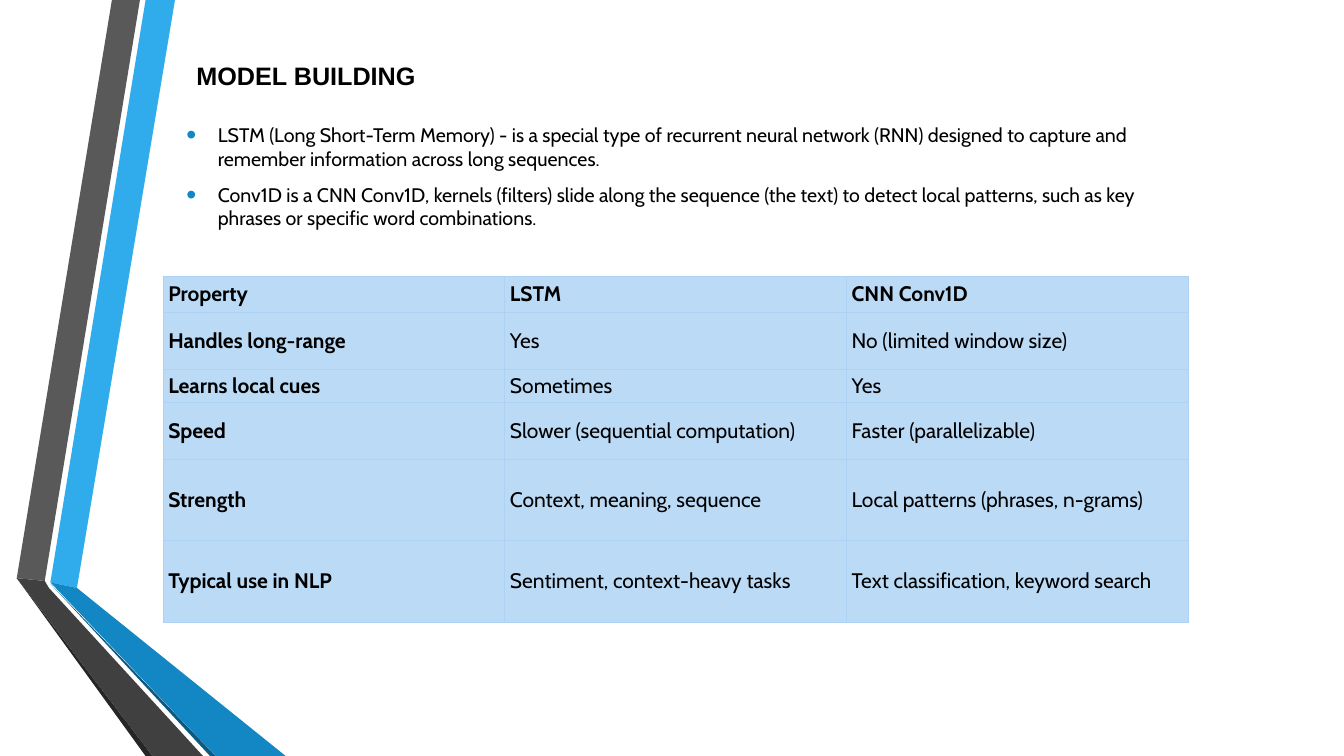
import pptx
import pptx.dml.color
import pptx.enum.text
import pptx.oxml
import pptx.oxml.ns
import pptx.util

Pt = pptx.util.Pt
RGBColor = pptx.dml.color.RGBColor
Anchor = pptx.enum.text.MSO_ANCHOR

BLACK = RGBColor(0x00, 0x00, 0x00)
SKY = RGBColor(0x30, 0xAC, 0xEC)
BLUE = RGBColor(0x12, 0x87, 0xC3)
NAVY = RGBColor(0x0C, 0x5A, 0x82)
GRAY = RGBColor(0x59, 0x59, 0x59)
CHARCOAL = RGBColor(0x40, 0x40, 0x40)
SOOT = RGBColor(0x26, 0x26, 0x26)
CELL_FILL = RGBColor(0xBB, 0xDA, 0xF5)
CELL_BORDER = RGBColor(0xAE, 0xD2, 0xF4)

RIBBONS = [
    (SKY, [(36, 416.2), (55.4, 419.8), (124.6, 0), (104.4, 0)]),
    (GRAY, [(100.1, 0), (79.9, 0), (11.5, 412.6), (31.7, 415.4)]),
    (SOOT, [(11.5, 412.6), (104.4, 540), (108.7, 540)]),
    (NAVY, [(36, 416.9), (149.8, 540), (154.1, 540)]),
    (BLUE, [(36, 416.2), (154.1, 540), (203.8, 540), (55.4, 419.8)]),
    (CHARCOAL, [(145.4, 540), (34.6, 419.8), (31.7, 415.4), (11.5, 412.6), (108.7, 540)]),
]

DEFINITIONS = [
    "LSTM (Long Short-Term Memory) - is a special type of recurrent neural network (RNN) "
    "designed to capture and remember information across long sequences.",
    "Conv1D is a CNN Conv1D, kernels (filters) slide along the sequence (the text) to detect "
    "local patterns, such as key phrases or specific word combinations.",
]

COMPARISON = [
    ("Property", "LSTM", "CNN Conv1D"),
    ("Handles long-range", "Yes", "No (limited window size)"),
    ("Learns local cues", "Sometimes", "Yes"),
    ("Speed", "Slower (sequential computation)", "Faster (parallelizable)"),
    ("Strength", "Context, meaning, sequence", "Local patterns (phrases, n-grams)"),
    ("Typical use in NLP", "Sentiment, context-heavy tasks", "Text classification, keyword search"),
]
ROW_HEIGHTS = [26, 40.3, 24, 40.3, 58.3, 58.3]
COLUMN_WIDTH = 244.1


def append_xml(parent, tag, body="", attributes=""):
    namespace = pptx.oxml.ns.nsdecls("a")
    parent.append(pptx.oxml.parse_xml(f"<a:{tag} {namespace} {attributes}>{body}</a:{tag}>"))


class ModelSlide:
    heading_font = "Arial"
    body_font = "Cabin"

    def __init__(self, presentation):
        self.slide = presentation.slides.add_slide(presentation.slide_layouts[6])

    def style(self, paragraph, size, font, bold=False):
        for run in paragraph.runs:
            run.font.size = Pt(size)
            run.font.name = font
            run.font.bold = bold
            run.font.color.rgb = BLACK

    def ribbon(self, color, corners):
        builder = self.slide.shapes.build_freeform(*corners[0], scale=Pt(1))
        builder.add_line_segments(corners[1:], close=True)
        band = builder.convert_to_shape()
        band.shadow.inherit = False
        band.fill.solid()
        band.fill.fore_color.rgb = color
        band.line.fill.background()

    def text_frame(self, left, top, width, height, anchor):
        box = self.slide.shapes.add_textbox(Pt(left), Pt(top), Pt(width), Pt(height))
        box.text_frame.word_wrap = True
        box.text_frame.vertical_anchor = anchor
        return box.text_frame

    def heading(self, text):
        frame = self.text_frame(133.2, 0.7, 814.3, 67.7, Anchor.BOTTOM)
        frame.text = text
        self.style(frame.paragraphs[0], 18, self.heading_font, bold=True)

    def bullets(self, items):
        frame = self.text_frame(126, 62.6, 732.2, 144, Anchor.MIDDLE)
        frame.margin_bottom = Pt(20.6)
        frame.text = "\n".join(items)
        for paragraph in frame.paragraphs:
            self.style(paragraph, 14, self.body_font)
            paragraph.space_before = Pt(2.8)
            paragraph.space_after = Pt(6)
            properties = paragraph._p.get_or_add_pPr()
            properties.set("marL", str(Pt(22.5)))
            properties.set("indent", str(Pt(-22.5)))
            append_xml(properties, "buClr", f'<a:srgbClr val="{BLUE}"/>')
            append_xml(properties, "buSzPct", attributes='val="145000"')
            append_xml(properties, "buFont", attributes='typeface="Arial"')
            append_xml(properties, "buChar", attributes='char="•"')

    def table(self, rows, heights, column_width):
        columns = len(rows[0])
        grid = self.slide.shapes.add_table(
            len(rows), columns, Pt(116.6), Pt(197.3),
            Pt(column_width * columns), Pt(sum(heights))).table
        for column in grid.columns:
            column.width = Pt(column_width)
        for r, (texts, height) in enumerate(zip(rows, heights)):
            grid.rows[r].height = Pt(height)
            for c, text in enumerate(texts):
                self.cell(grid.cell(r, c), text, header=r == 0, bold=r == 0 or c == 0)

    def cell(self, cell, text, header, bold):
        cell.text_frame.text = text
        self.style(cell.text_frame.paragraphs[0], 15, self.body_font, bold)
        cell.vertical_anchor = Anchor.TOP if header else Anchor.MIDDLE
        cell.margin_left = cell.margin_right = Pt(3.6)
        cell.margin_top = cell.margin_bottom = Pt(3.6 if header else 2.9)
        properties = cell._tc.get_or_add_tcPr()
        for side in "LRTB":
            append_xml(properties, f"ln{side}",
                       f'<a:solidFill><a:srgbClr val="{CELL_BORDER}"/></a:solidFill>',
                       f'w="{Pt(0.75)}"')
        cell.fill.solid()
        cell.fill.fore_color.rgb = CELL_FILL


def main():
    presentation = pptx.Presentation()
    presentation.slide_width = Pt(960)
    presentation.slide_height = Pt(540)
    page = ModelSlide(presentation)
    for color, corners in RIBBONS:
        page.ribbon(color, corners)
    page.heading("MODEL BUILDING")
    page.bullets(DEFINITIONS)
    page.table(COMPARISON, ROW_HEIGHTS, COLUMN_WIDTH)
    presentation.save("out.pptx")


if __name__ == "__main__":
    main()
